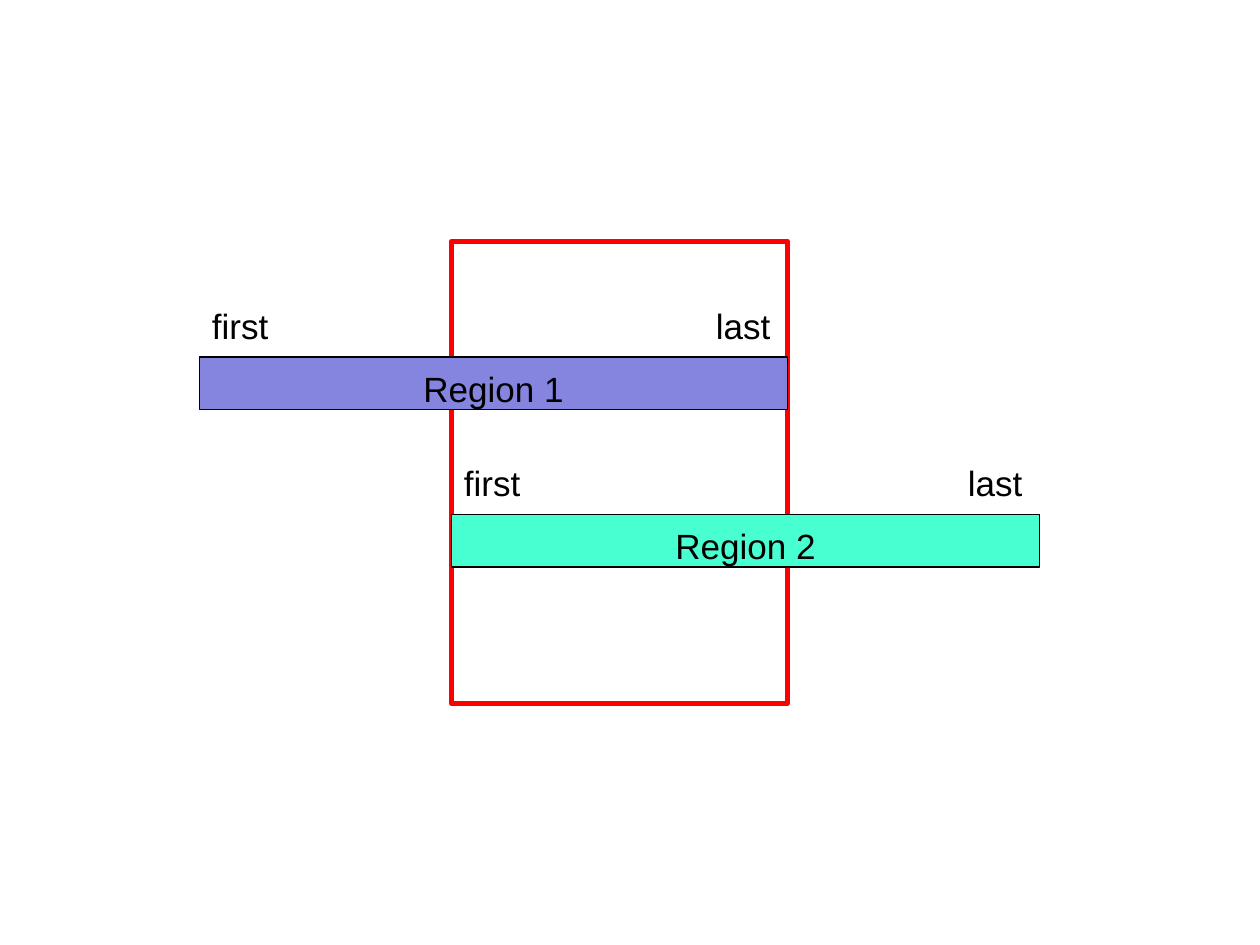
import pptx
import pptx.util
import pptx.dml.color
import pptx.enum.shapes
import pptx.enum.text
from dataclasses import dataclass

Pt = pptx.util.Pt
Align = pptx.enum.text.PP_ALIGN


@dataclass(frozen=True)
class Theme:
    font: str = "Arial"
    text_size: float = 20
    text: str = "000000"
    outline: str = "000000"
    overlap: str = "FF0000"
    region_1: str = "8585E0"
    region_2: str = "47FFD1"


class Diagram:
    def __init__(self, slide, theme):
        self.slide = slide
        self.theme = theme

    def color(self, value):
        return pptx.dml.color.RGBColor.from_string(value)

    def rectangle(self, parent, left, top, width, height, line, line_width, fill=None):
        shape = parent.shapes.add_shape(
            pptx.enum.shapes.MSO_SHAPE.RECTANGLE, Pt(left), Pt(top), Pt(width), Pt(height))
        shape.shadow.inherit = False
        shape.line.color.rgb = self.color(line)
        shape.line.width = Pt(line_width)
        if fill:
            shape.fill.solid()
            shape.fill.fore_color.rgb = self.color(fill)
        else:
            shape.fill.background()
        return shape

    def add_text(self, shape, text, alignment, bottom):
        frame = shape.text_frame
        frame.word_wrap = False
        frame.vertical_anchor = pptx.enum.text.MSO_ANCHOR.TOP
        frame.margin_top, frame.margin_bottom = Pt(5.9), Pt(bottom)
        paragraph = frame.paragraphs[0]
        paragraph.alignment = alignment
        run = paragraph.add_run()
        run.text = text
        run.font.name = self.theme.font
        run.font.size = Pt(self.theme.text_size)
        run.font.color.rgb = self.color(self.theme.text)

    def label(self, parent, left, top, width, text):
        box = parent.shapes.add_textbox(Pt(left), Pt(top), Pt(width), Pt(31.5))
        self.add_text(box, text, Align.LEFT, 2.6)

    def region(self, name, left, top, fill):
        """A bar with its first and last labels, kept together as a group."""
        group = self.slide.shapes.add_group_shape()
        bar = self.rectangle(group, left, top, REGION_WIDTH, 30,
                             self.theme.outline, 0.75, fill)
        self.add_text(bar, name, Align.CENTER, 1.1)
        self.label(group, left, top - 36, 46.8, "first")
        self.label(group, left + REGION_WIDTH - 48, top - 36, 46, "last")


# Slide
presentation = pptx.Presentation()
presentation.slide_width, presentation.slide_height = Pt(720), Pt(540)
slide = presentation.slides.add_slide(presentation.slide_layouts[6])
theme = Theme()
diagram = Diagram(slide, theme)

# Overlap runs from the start of region 2 to the end of region 1
REGION_WIDTH = 336
FIRST_1, FIRST_2 = 114, 258
diagram.rectangle(slide, FIRST_2, 138, FIRST_1 + REGION_WIDTH - FIRST_2, 264,
                  theme.overlap, 3)

# Regions
diagram.region("Region 1", FIRST_1, 204, theme.region_1)
diagram.region("Region 2", FIRST_2, 294, theme.region_2)

presentation.save("out.pptx")
